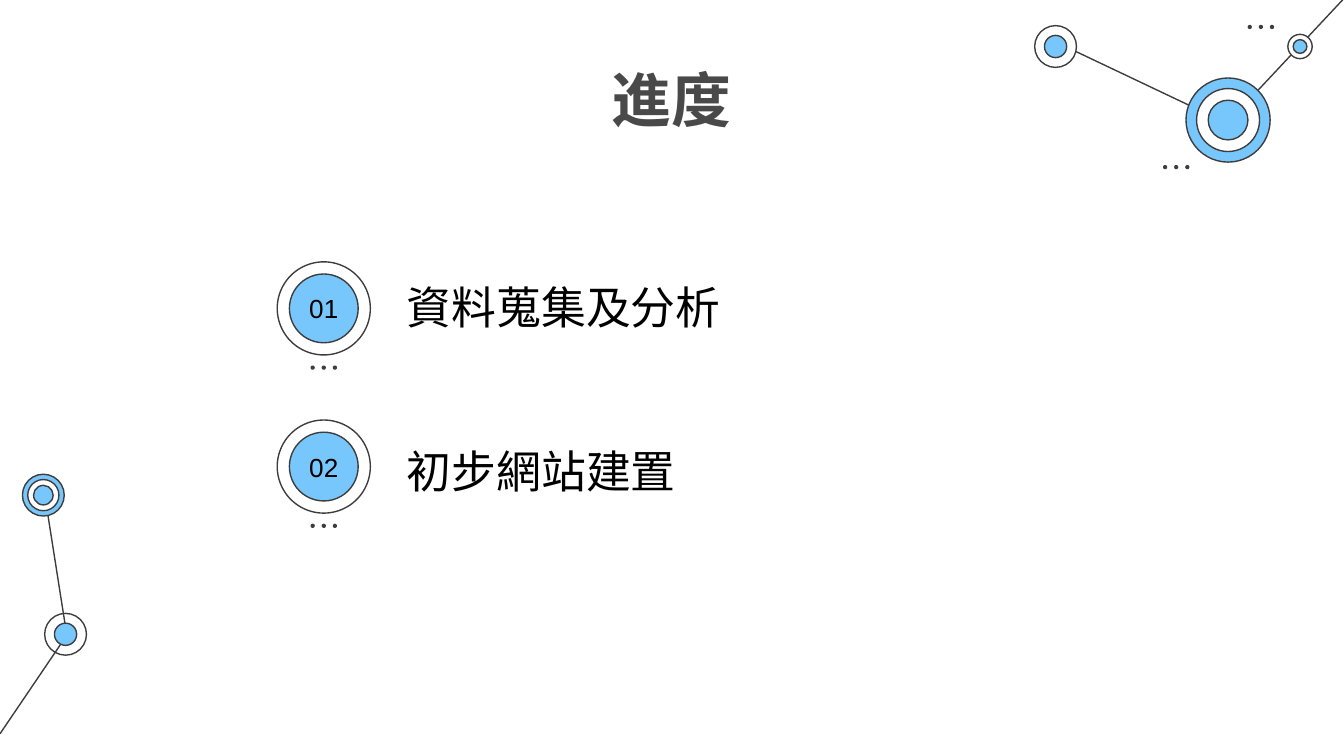
import pptx
import pptx.dml.color
import pptx.enum.shapes
import pptx.enum.text
import pptx.oxml.ns
import pptx.util
from lxml import etree

Cm = pptx.util.Cm
ALIGN = pptx.enum.text.PP_ALIGN
ANCHOR = pptx.enum.text.MSO_ANCHOR

COLORS = {"sky": "77C6FC", "white": "FFFFFF", "ink": "3D3D3D",
          "title": "494949", "black": "000000"}
CJK = "Noto Sans CJK SC"

TITLE = "進度"
# number, step, top of the step's text, width of the step's text (cm)
STEPS = [("01", "資料蒐集及分析", 5.16, 12.19),
         ("02", "初步網站建置", 8.26, 12.73)]

# All positions below are in cm
LINKS = [(1.26, 11.99, 0.84, 9.32), (0, 13.87, 1.24, 12.04),
         (23.21, 2.34, 19.99, 0.81), (25.4, -0.03, 23.21, 2.31)]
# centre x, centre y, rings from outside in as (diameter, fill)
NODES = [
    (1.24, 11.99, [(0.79, None), (0.42, "sky")]),
    (0.82, 9.36, [(0.79, "sky"), (0.59, "white"), (0.37, "sky")]),
    (23.21, 2.27, [(1.59, "sky"), (1.19, "white"), (0.75, "sky")]),
    (19.95, 0.88, [(0.79, "white"), (0.42, "sky")]),
    (24.57, 0.88, [(0.46, "white"), (0.26, "sky")]),
]
CORNER_DOTS = [(23.83, 0.51), (22.23, 3.16)]
BADGE_RINGS = [(1.76, "white"), (1.3, "sky")]
BADGE_X, FIRST_BADGE_Y, BADGE_STEP = 6.12, 5.83, 2.99
DOTS_BELOW = 1.12
DOT_SIZE, DOT_PITCH = 0.08, 0.21
NUMBER_W, NUMBER_H = 1.27, 0.97


def rgb(name):
    return pptx.dml.color.RGBColor.from_string(COLORS[name])


def add_circle(slide, x, y, diameter, fill, outlined=True):
    """Draw a circle centred on x, y."""
    circle = slide.shapes.add_shape(
        pptx.enum.shapes.MSO_SHAPE.OVAL, Cm(x - diameter / 2),
        Cm(y - diameter / 2), Cm(diameter), Cm(diameter))
    circle.shadow.inherit = False
    if fill:
        circle.fill.solid()
        circle.fill.fore_color.rgb = rgb(fill)
    else:
        circle.fill.background()
    if outlined:
        circle.line.color.rgb = rgb("ink")
        circle.line.width = pptx.util.Pt(0.75)
    else:
        circle.line.fill.background()


def add_rings(slide, x, y, rings):
    for diameter, fill in rings:
        add_circle(slide, x, y, diameter, fill)


def add_dots(slide, x, y):
    """Draw three small dots in a row around x, y."""
    for place in (-1, 0, 1):
        add_circle(slide, x + place * DOT_PITCH, y, DOT_SIZE, "ink",
                   outlined=False)


def add_link(slide, x1, y1, x2, y2):
    link = slide.shapes.add_connector(
        pptx.enum.shapes.MSO_CONNECTOR.STRAIGHT,
        Cm(x1), Cm(y1), Cm(x2), Cm(y2))
    link.line.color.rgb = rgb("ink")
    link.line.width = pptx.util.Pt(0.75)
    etree.SubElement(link._element.spPr, pptx.oxml.ns.qn("a:effectLst"))


def add_text(slide, text, left, top, width, height, size, font=CJK,
             color="black", bold=False, align=ALIGN.LEFT,
             anchor=ANCHOR.TOP, inset=0.25):
    box = slide.shapes.add_textbox(Cm(left), Cm(top), Cm(width), Cm(height))
    frame = box.text_frame
    frame.word_wrap = True
    frame.vertical_anchor = anchor
    frame.margin_top = frame.margin_bottom = Cm(inset)
    paragraph = frame.paragraphs[0]
    paragraph.alignment = align
    run = paragraph.add_run()
    run.text = text
    run.font.name = font
    run.font.size = pptx.util.Pt(size)
    run.font.bold = bold
    run.font.color.rgb = rgb(color)
    east_asian = etree.SubElement(run.font._element, pptx.oxml.ns.qn("a:ea"))
    east_asian.set("typeface", font)


def main():
    deck = pptx.Presentation()
    deck.slide_width, deck.slide_height = Cm(25.4), Cm(14.29)
    slide = deck.slides.add_slide(deck.slide_layouts[6])

    for link in LINKS:
        add_link(slide, *link)
    for node in NODES:
        add_rings(slide, *node)
    for x, y in CORNER_DOTS:
        add_dots(slide, x, y)

    add_text(slide, TITLE, 7.01, 0.94, 11.35, 1.6, 32, color="title",
             bold=True, align=ALIGN.CENTER)

    for index, (number, step, top, width) in enumerate(STEPS):
        y = FIRST_BADGE_Y + index * BADGE_STEP
        add_rings(slide, BADGE_X, y, BADGE_RINGS)
        add_dots(slide, BADGE_X, y + DOTS_BELOW)
        add_text(slide, number, BADGE_X - NUMBER_W / 2, y - NUMBER_H / 2,
                 NUMBER_W, NUMBER_H, 14, font="Arial",
                 align=ALIGN.CENTER, anchor=ANCHOR.MIDDLE)
        add_text(slide, step, 7.44, top, width, 1.27, 24, inset=0.13)

    deck.save("out.pptx")


if __name__ == "__main__":
    main()
